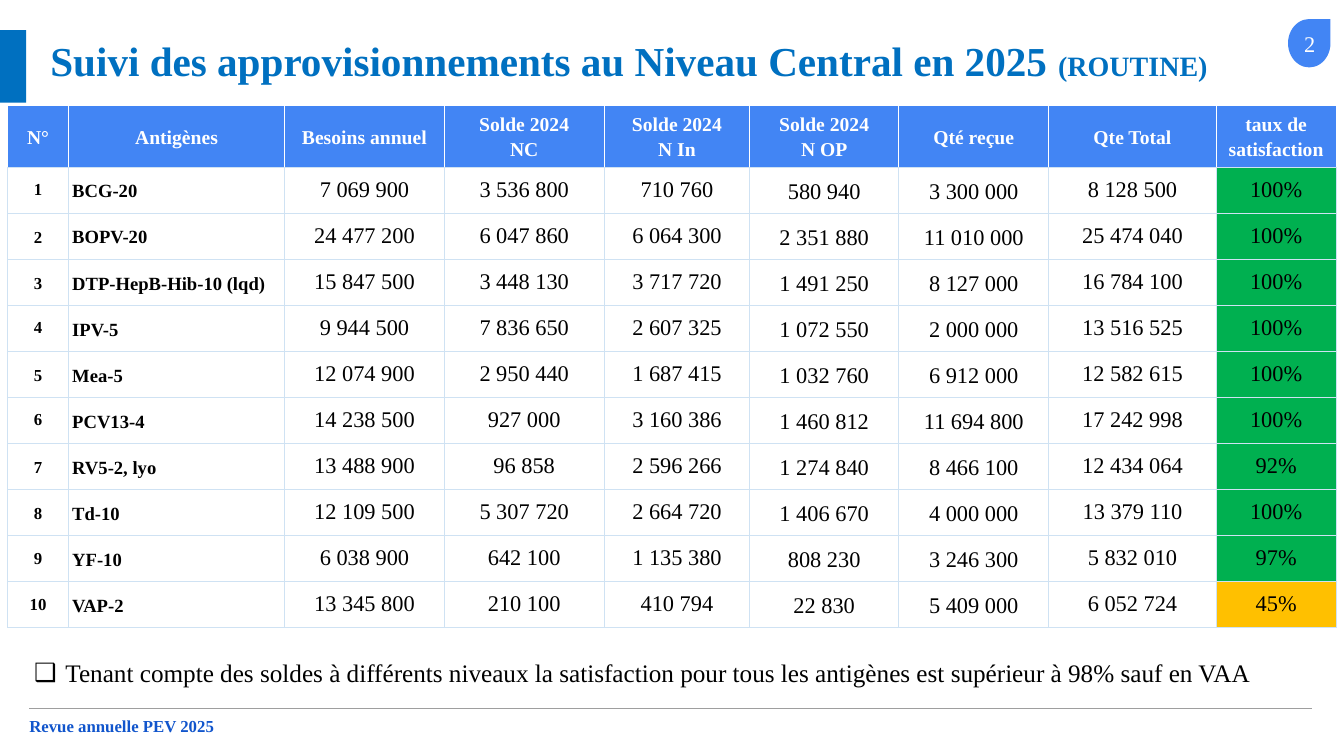
from lxml import etree
from pptx import Presentation, util as u
from pptx.dml.color import RGBColor
from pptx.enum import shapes, text
from pptx.oxml import ns

COLORS = {"title": "0070C0", "header": "4285F4", "white": "FFFFFF", "black": "000000",
          "grid": "CFE2F3", "green": "00B050", "amber": "FFC000", "rule": "9E9E9E",
          "footer": "1155CC"}
LEFT, CENTER = text.PP_ALIGN.LEFT, text.PP_ALIGN.CENTER
TOP, MIDDLE = text.MSO_ANCHOR.TOP, text.MSO_ANCHOR.MIDDLE


def rgb(name):
    return RGBColor.from_string(COLORS[name])


def write(p, content, size, color, bold=False, align=LEFT, spacing=1.0):
    for key, value in {"alignment": align, "line_spacing": spacing,
                       "space_before": u.Pt(0), "space_after": u.Pt(0)}.items():
        setattr(p, key, value)
    r = p.add_run()
    r.text = content
    for key, value in {"name": "Times New Roman", "size": u.Pt(size), "bold": bold}.items():
        setattr(r.font, key, value)
    r.font.color.rgb = rgb(color)


prs = Presentation()
prs.slide_width, prs.slide_height = u.Cm(33.87), u.Cm(19.05)
s = prs.slides.add_slide(prs.slide_layouts[1])
title, note = s.placeholders
footer = s.shapes.add_textbox(0, 0, 0, 0)

frames = [
    (title, (1.27, 0.89, 31.32, 2.03), (0, 0, 0, 0)),
    (note, (0.61, 16.43, 32.61, 1.02), (0.25, 0.13, 0.25, 0.13)),
    (footer, (0.74, 18.03, 31.7, 0.51), (0, 0, 0.33, 0)),
]
for sp, place, insets in frames:
    sp.left, sp.top, sp.width, sp.height = map(u.Cm, place)
    tf = sp.text_frame
    margins = dict(zip(("margin_left", "margin_top", "margin_right", "margin_bottom"),
                       map(u.Cm, insets)))
    for key, value in {"word_wrap": True, "auto_size": text.MSO_AUTO_SIZE.NONE,
                       "vertical_anchor": TOP, **margins}.items():
        setattr(tf, key, value)

p = title.text_frame.paragraphs[0]
write(p, "Suivi des approvisionnements au Niveau Central en 2025 ", 29.4, "title", True)
write(p, "(ROUTINE)", 20, "title", True)

p = note.text_frame.paragraphs[0]
pPr = p._p.get_or_add_pPr()
pPr.set("marL", str(u.Cm(0.79)))
pPr.set("indent", str(u.Cm(-0.79)))
etree.SubElement(pPr, ns.qn("a:buChar")).set("char", "❑")
write(p, "Tenant compte des soldes à différents niveaux la satisfaction pour tous les "
         "antigènes est supérieur à 98% sauf en VAA", 18, "black")

write(footer.text_frame.paragraphs[0], "Revue annuelle PEV 2025", 12, "footer", True)

headers = ["N°", "Antigènes", "Besoins annuel", "Solde 2024\nNC", "Solde 2024\nN In",
           "Solde 2024\nN OP", "Qté reçue", "Qte Total", "taux de satisfaction"]
supplies = [
    ("BCG-20", "7 069 900", "3 536 800", "710 760", "580 940", "3 300 000", "8 128 500", "100%"),
    ("BOPV-20", "24 477 200", "6 047 860", "6 064 300", "2 351 880", "11 010 000", "25 474 040", "100%"),
    ("DTP-HepB-Hib-10 (lqd)", "15 847 500", "3 448 130", "3 717 720", "1 491 250", "8 127 000", "16 784 100", "100%"),
    ("IPV-5", "9 944 500", "7 836 650", "2 607 325", "1 072 550", "2 000 000", "13 516 525", "100%"),
    ("Mea-5", "12 074 900", "2 950 440", "1 687 415", "1 032 760", "6 912 000", "12 582 615", "100%"),
    ("PCV13-4", "14 238 500", "927 000", "3 160 386", "1 460 812", "11 694 800", "17 242 998", "100%"),
    ("RV5-2, lyo", "13 488 900", "96 858", "2 596 266", "1 274 840", "8 466 100", "12 434 064", "92%"),
    ("Td-10", "12 109 500", "5 307 720", "2 664 720", "1 406 670", "4 000 000", "13 379 110", "100%"),
    ("YF-10", "6 038 900", "642 100", "1 135 380", "808 230", "3 246 300", "5 832 010", "97%"),
    ("VAP-2", "13 345 800", "210 100", "410 794", "22 830", "5 409 000", "6 052 724", "45%"),
]
rows = [headers] + [(str(n), *supply) for n, supply in enumerate(supplies, 1)]
widths = [1.52, 5.46, 4.01, 4.04, 3.66, 3.76, 3.78, 4.22, 3.02]
side_margins = [0.1, 0.1, 0.03, 0.03, 0.1, 0.1, 0.1, 0, 0]
RATE = len(headers) - 1

table = s.shapes.add_table(len(rows), len(headers), u.Cm(0.2), u.Cm(2.64),
                           u.Cm(sum(widths)), u.Cm(13.13)).table
table.horz_banding = False
for column, width in zip(table.columns, widths):
    column.width = u.Cm(width)

for i, row in enumerate(rows):
    is_header = i == 0
    table.rows[i].height = u.Cm(1.57 if is_header else 1.16)
    for j, content in enumerate(row):
        cell = table.cell(i, j)
        side = u.Cm(0.1 if is_header else side_margins[j])
        for key, value in {"margin_left": side, "margin_right": side, "margin_top": 0,
                           "margin_bottom": 0, "vertical_anchor": MIDDLE}.items():
            setattr(cell, key, value)

        tcPr = cell._tc.get_or_add_tcPr()
        for edge in "LRTB":
            ln = etree.SubElement(tcPr, ns.qn("a:ln" + edge))
            ln.set("w", str(u.Pt(1.5 if is_header and edge == "T" else 0.75)))
            color = "white" if is_header and edge != "B" else "grid"
            solid = etree.SubElement(ln, ns.qn("a:solidFill"))
            etree.SubElement(solid, ns.qn("a:srgbClr")).set("val", COLORS[color])

        if is_header or j == RATE:
            cell.fill.solid()
            rate_color = "amber" if content == "45%" else "green"
            cell.fill.fore_color.rgb = rgb("header" if is_header else rate_color)
        else:
            cell.fill.background()

        size = 14 if is_header else {0: 12, 1: 13.3}.get(j, 16)
        loose = is_header or j in (1, 5, 6) or (j == 0 and i in (2, 3, 5, 7, 8))
        for k, line in enumerate(content.split("\n")):
            tf = cell.text_frame
            p = tf.add_paragraph() if k else tf.paragraphs[0]
            write(p, line, size, "white" if is_header else "black", is_header or j < 2,
                  LEFT if j == 1 and not is_header else CENTER, 1.15 if loose else 1.0)

for kind, place, color in [
    (shapes.MSO_SHAPE.RECTANGLE, (0, 0.76, 0.66, 1.83), "title"),
    (shapes.MSO_SHAPE.TEAR, (32.46, 0.48, 1.07, 1.22), "header"),
]:
    sp = s.shapes.add_shape(kind, *map(u.Cm, place))
    sp.shadow.inherit = False
    sp.fill.solid()
    sp.fill.fore_color.rgb = rgb(color)
    sp.line.fill.background()
sp.text_frame.vertical_anchor = MIDDLE
write(sp.text_frame.paragraphs[0], "2", 16, "white", align=CENTER)

rule = s.shapes.add_connector(shapes.MSO_CONNECTOR.STRAIGHT,
                              *map(u.Cm, (0.74, 17.86, 33.07, 17.86)))
rule.line.color.rgb = rgb("rule")
rule.line.width = u.Pt(0.75)
etree.SubElement(rule._element.spPr, ns.qn("a:effectLst"))

prs.save("out.pptx")
